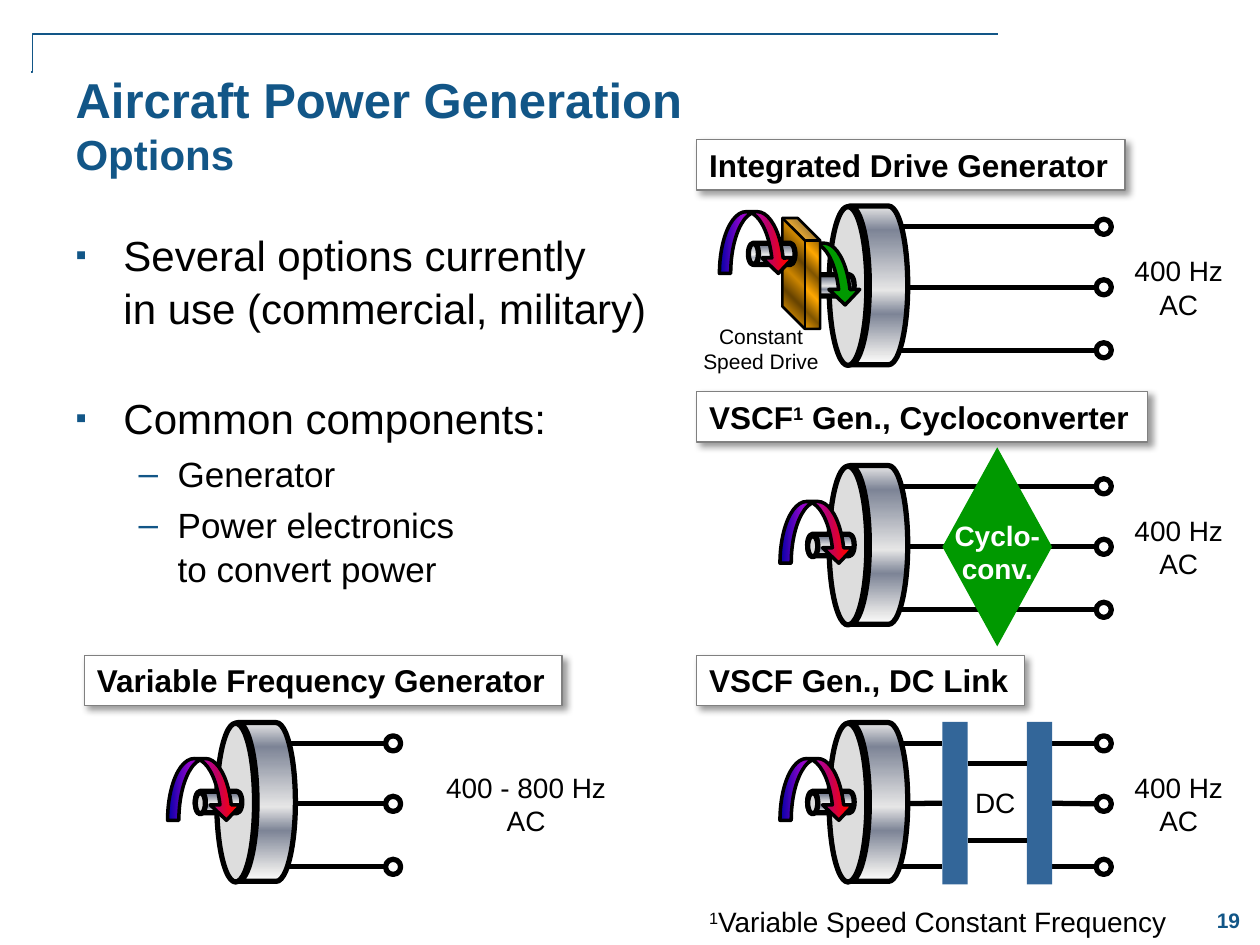
from lxml import etree
from pptx import Presentation
from pptx import util as u
from pptx.dml.color import RGBColor
from pptx.enum import shapes, text
from pptx.oxml import parse_xml
from pptx.oxml.ns import nsdecls, qn

PX = 9144  # EMU per px, 100 px to the inch


class Theme:
    font = "Arial"
    navy, black, white = "125687", "000000", "FFFFFF"
    gray, face, green, steel = "808080", "DDDDDD", "009900", "336699"
    metal = (0, [(0, "FFFFFF"), (7, "E6E6E6"), (32, "7D8496"),
                 (47, "E6E6E6"), (85, "7D8496"), (100, "E6E6E6")])
    gold = (225, [(0, "825600"), (13, "FFA800"), (28, "825600"), (43, "FFA800"),
                  (58, "825600"), (72, "FFA800"), (87, "825600"), (100, "FFA800")])
    spin = (0, [(0, "0000D0"), (30, "B805FF"), (65, "BA0066"),
                (90, "FF0000"), (100, "FF8200")])
    head, sub, body, item, label, note, small = 28, 24, 24, 20, 18, 16, 12


def draw(kind, box, fill, line=None, width=3, rot=0, adj=()):
    """Add a preset shape; fill is a hex colour or an (angle, stops) gradient."""
    shape = slide.shapes.add_shape(kind, *[n * PX for n in box])
    shape.shadow.inherit = False
    shape.rotation = rot
    for i, val in enumerate(adj):
        shape.adjustments[i] = val
    if isinstance(fill, str):
        shape.fill.solid()
        shape.fill.fore_color.rgb = RGBColor.from_string(fill)
    else:
        angle, stops = fill
        marks = "".join(f'<a:gs pos="{pos * 1000}"><a:srgbClr val="{tint}"/></a:gs>'
                        for pos, tint in stops)
        shape._element.spPr.find(qn("a:prstGeom")).addnext(parse_xml(
            f'<a:gradFill {nsdecls("a")} rotWithShape="1"><a:gsLst>{marks}</a:gsLst>'
            f'<a:lin ang="{angle * 60000}" scaled="1"/></a:gradFill>'))
    if line:
        shape.line.color.rgb = RGBColor.from_string(line)
        shape.line.width = u.Pt(width)
    else:
        shape.line.fill.background()
    return shape


def write(frame, paras, size, tint=Theme.black, bold=False, align=text.PP_ALIGN.LEFT):
    """Fill a frame; each paragraph lists runs, "\\n" breaks and "^" raises."""
    for i, runs in enumerate(paras):
        para = frame.paragraphs[0] if i == 0 else frame.add_paragraph()
        para.alignment = align
        for part in runs:
            if part == "\n":
                para.add_line_break()
                continue
            run = para.add_run()
            run.text = part.lstrip("^")
            font = run.font
            font.name, font.size, font.bold = Theme.font, u.Pt(size), bold
            font.color.rgb = RGBColor.from_string(tint)
            if part.startswith("^"):
                font._element.set("baseline", "30000")


MSO = shapes.MSO_SHAPE
MID = text.PP_ALIGN.CENTER
deck = Presentation()
deck.slide_width, deck.slide_height = 1000 * PX, 750 * PX
slide = deck.slides.add_slide(deck.slide_layouts[1])
title, body = slide.placeholders

# Title and list
for holder, box in ((title, (50, 50, 883, 108)), (body, (50, 175, 883, 508))):
    holder.left, holder.top, holder.width, holder.height = [n * PX for n in box]
    holder.text_frame.auto_size = text.MSO_AUTO_SIZE.NONE
    holder.text_frame.vertical_anchor = text.MSO_ANCHOR.TOP
write(title.text_frame, [["Aircraft Power Generation", "\n", "Options"]],
      Theme.head, Theme.navy, True)
title.text_frame.paragraphs[0].runs[1].font.size = u.Pt(Theme.sub)

write(body.text_frame, [
    ["Several options currently", "\n", "in use (commercial, military)"],
    ["Common components:"],
    ["Generator"],
    ["Power electronics", "\n", "to convert power"],
], Theme.body)
for para, level, before in zip(body.text_frame.paragraphs, (0, 0, 1, 1), (0, 33, 4, 4)):
    left, hang, mark, scale = ((38, 38, "▪", 75), (81, 31, "–", 100))[level]
    props = para._p.get_or_add_pPr()
    props.set("marL", str(left * PX))
    props.set("indent", str(-hang * PX))
    tone = etree.SubElement(props, qn("a:buClr"))
    etree.SubElement(tone, qn("a:srgbClr"), val=Theme.navy)
    etree.SubElement(props, qn("a:buSzPct"), val=str(scale * 1000))
    etree.SubElement(props, qn("a:buFont"), typeface=Theme.font)
    etree.SubElement(props, qn("a:buChar"), char=mark)
    para.level = level
    para.line_spacing = 1.05
    para.space_before = u.Pt(before)
    if level:
        for run in para.runs:
            run.font.size = u.Pt(Theme.item)

# Labels above the generators
for box, runs in (
    ((553, 111, 340, 40), ["Integrated Drive Generator"]),
    ((553, 311, 358, 40), ["VSCF", "^1", " Gen., Cycloconverter"]),
    ((553, 520, 260, 40), ["VSCF Gen., DC Link"]),
    ((67, 520, 379, 40), ["Variable Frequency Generator"]),
):
    label = draw(MSO.RECTANGLE, box, Theme.white, Theme.gray, 0.75)
    label.text_frame.word_wrap = False
    write(label.text_frame, [runs], Theme.label, bold=True)
    glow = label._element.spPr.find(qn("a:effectLst"))
    glow.append(parse_xml(
        f'<a:outerShdw {nsdecls("a")} blurRad="50800" dist="38100" dir="2700000" '
        'algn="tl" rotWithShape="0"><a:srgbClr val="000000">'
        '<a:alpha val="40000"/></a:srgbClr></a:outerShdw>'))

# Generators: offset of the machine, ring position, wire spans
lines = []
CAN, ARROW = MSO.CAN, MSO.CURVED_DOWN_ARROW
bend = (0.183, 0.5, 0.25)
for dx, dy, ring, spans in (
    (0, 0, 870, [(688, 869)]),
    (0, 206, 870, [(688, 869)]),
    (-486, 410, 306, [(219, 306)]),
    (0, 410, 870, [(688, 748), (835, 871)]),
):
    for y in (180, 228, 278):
        wires = [slide.shapes.add_connector(
            shapes.MSO_CONNECTOR.STRAIGHT, a * PX, (y + dy) * PX, b * PX, (y + dy) * PX)
            for a, b in spans]
        lines += wires
        if y == 228:
            mids = wires
        draw(MSO.OVAL, (ring, y + dy - 6, 12, 12), Theme.white, Theme.black)
    draw(CAN, (627 + dx, 196 + dy, 126, 61), Theme.metal, Theme.black, 3, 270, [0.665])
    draw(MSO.OVAL, (658 + dx, 164 + dy, 30, 126), Theme.face, Theme.black, 3, 180)
    draw(CAN, (651 + dx, 208 + dy, 17, 37), Theme.metal, Theme.black, 3, 270, [0.469])
    draw(MSO.OVAL, (641 + dx, 219 + dy, 8, 17), Theme.face, Theme.black, 3, 180)
    if dy:
        draw(ARROW, (619 + dx, 192 + dy, 59, 49), Theme.spin, Theme.black, 2, 0, bend)

# Constant speed drive
draw(ARROW, (624, 193, 59, 49), Theme.green, Theme.black, 2, 0, bend)
drive = draw(MSO.CUBE, (621, 173, 30, 88), Theme.gold, Theme.black, 1.5, 0, [0.597])
drive._element.spPr.xfrm.set("flipH", "1")
draw(CAN, (604, 183, 17, 37), Theme.metal, Theme.black, 3, 270, [0.469])
draw(ARROW, (571, 168, 59, 49), Theme.spin, Theme.black, 2, 0, bend)

# Converters
draw(MSO.DIAMOND, (748, 355, 87, 158), Theme.green)
bars = [draw(MSO.RECTANGLE, (x, 573, 20, 129), Theme.steel) for x in (748, 815)]
mids[0].end_connect(bars[0], 1)
mids[1].begin_connect(bars[1], 3)
for y in (606, 667):
    lines.append(slide.shapes.add_connector(
        shapes.MSO_CONNECTOR.STRAIGHT, 768 * PX, y * PX, 815 * PX, y * PX))

# Corner rule
rule = slide.shapes.add_connector(
    shapes.MSO_CONNECTOR.ELBOW, 792 * PX, 27 * PX, 25 * PX, 57 * PX)
guides = rule._element.spPr.find(qn("a:prstGeom")).get_or_add_avLst()
etree.SubElement(guides, qn("a:gd"), name="adj1", fmla="val 99900")
for line in lines + [rule]:
    tint, width = (Theme.navy, 1) if line is rule else (Theme.black, 3)
    line.line.color.rgb = RGBColor.from_string(tint)
    line.line.width = u.Pt(width)
    etree.SubElement(line._element.spPr, qn("a:effectLst"))

# Captions
hertz = [["400 Hz"], ["AC"]]
for box, paras, size, tint, bold, align in (
    ((890, 196, 91, 64), hertz, Theme.note, Theme.black, False, MID),
    ((890, 402, 91, 64), hertz, Theme.note, Theme.black, False, MID),
    ((890, 606, 91, 64), hertz, Theme.note, Theme.black, False, MID),
    ((343, 606, 149, 64), [["400 - 800 Hz"], ["AC"]], Theme.note, Theme.black, False, MID),
    ((548, 252, 112, 50), [["Constant"], ["Speed Drive"]],
     Theme.small, Theme.black, False, MID),
    ((747, 406, 89, 64), [["Cyclo-", "\n", "conv."]], Theme.note, Theme.white, True, MID),
    ((764, 618, 52, 37), [["DC"]], Theme.note, Theme.black, False, text.PP_ALIGN.LEFT),
    ((553, 713, 388, 37), [["^1", "Variable Speed Constant Frequency"]],
     Theme.note, Theme.black, False, text.PP_ALIGN.LEFT),
    ((950, 709, 50, 42), [["19"]], Theme.small, Theme.navy, True, MID),
):
    frame = slide.shapes.add_textbox(*[n * PX for n in box]).text_frame
    frame.word_wrap = False
    frame.vertical_anchor = text.MSO_ANCHOR.MIDDLE
    write(frame, paras, size, tint, bold, align)

deck.save("out.pptx")
